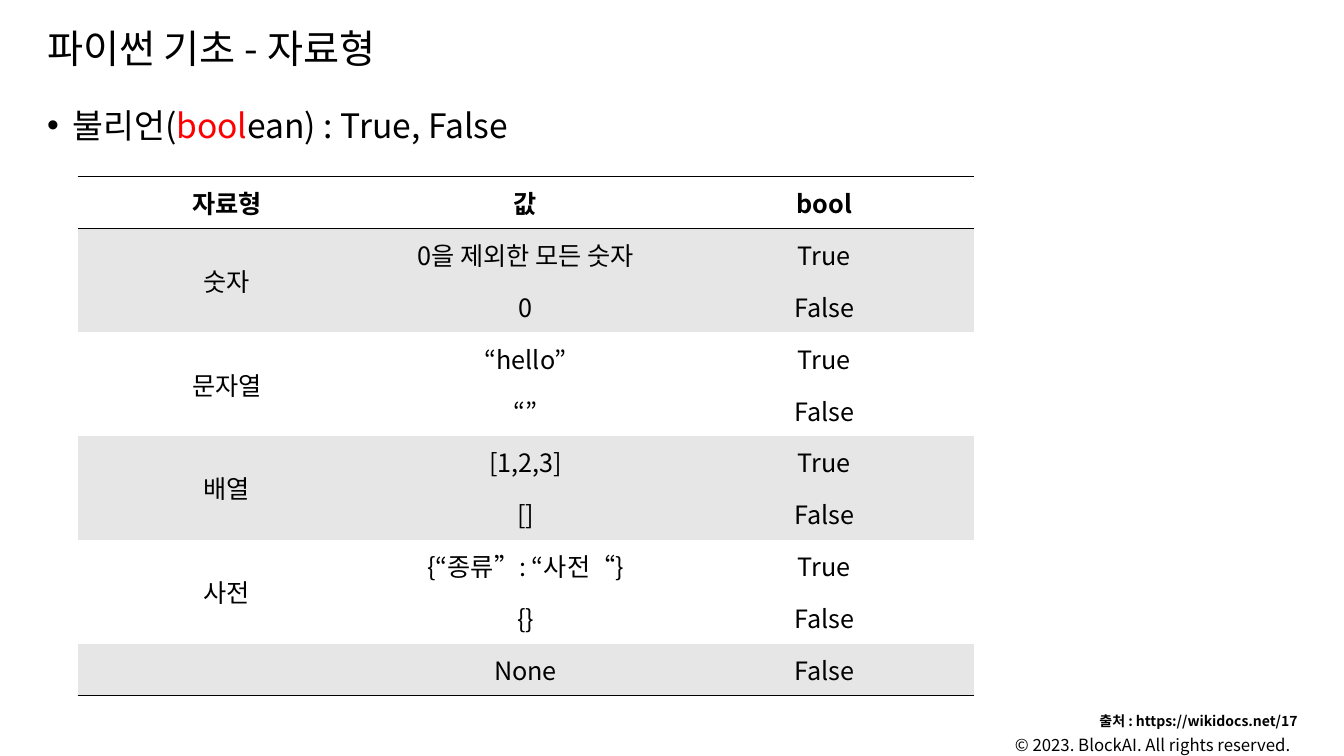
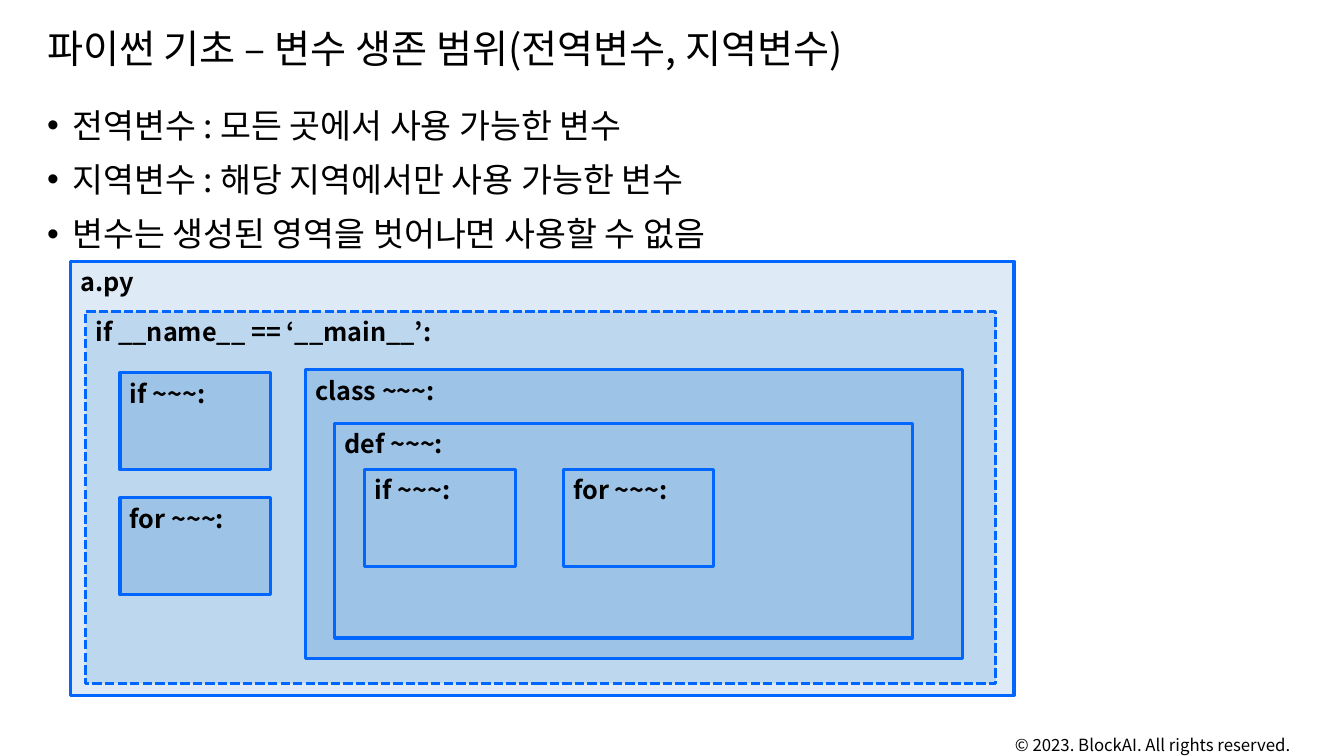
from dataclasses import dataclass
from typing import Any

import lxml.etree
import pptx
import pptx.dml.color
import pptx.enum.dml
import pptx.enum.shapes
import pptx.enum.text
import pptx.oxml.ns
import pptx.slide
import pptx.util

Pt = pptx.util.Pt
ALIGN = pptx.enum.text.PP_ALIGN
ANCHOR = pptx.enum.text.MSO_ANCHOR

FACE = "Noto Sans CJK KR"
BLACK, WHITE, RED, BLUE, GREY = "000000", "FFFFFF", "FF0000", "0066FF", "E7E6E6"
PALE, LIGHT, MID = "DEEBF7", "BDD7EE", "9DC3E6"
LEFT, WIDE = 26.64, 907.2
PLAIN_STYLE = "{2D5ABB26-0587-4C30-8999-92F81FD0307C}"


@dataclass(frozen=True)
class Run:
    text: str
    hue: str = BLACK


@dataclass(frozen=True)
class Box:
    left: float
    top: float
    width: float
    height: float


@dataclass(frozen=True)
class Scope:
    """A labelled block of code."""
    label: str
    box: Box
    fill: str = MID
    dashed: bool = False


@dataclass(frozen=True)
class Group:
    """A data type with its sample values and their truth."""
    name: str
    rows: tuple[tuple[str, str], ...]


TITLE = Box(LEFT, 15.12, WIDE, 42.48)
BODY = Box(LEFT, 71.28, WIDE, 453.6)
SOURCE = Box(LEFT, 505.44, WIDE, 19.44)
RIGHTS = Box(717.84, 524.16, 216, 15.12)
TABLE = Box(55.44, 126, 640, 370.8)

HEADS = ("자료형", "값", "bool")
GROUPS = (
    Group("숫자", (("0을 제외한 모든 숫자", "True"), ("0", "False"))),
    Group("문자열", (("“hello”", "True"), ("“”", "False"))),
    Group("배열", (("[1,2,3]", "True"), ("[]", "False"))),
    Group("사전", (("{“종류”: “사전“}", "True"), ("{}", "False"))),
    Group("", (("None", "False"),)),
)


def small(label: str, left: float, top: float) -> Scope:
    return Scope(label, Box(left, top, 107.28, 69.12))


SCOPES = (
    Scope("a.py", Box(50.4, 186.48, 673.92, 310.32), PALE),
    Scope("if __name__ == ‘__main__’:", Box(61.2, 222.48, 650.16, 265.68), LIGHT, True),
    small("if ~~~:", 85.68, 266.4),
    small("for ~~~:", 85.68, 355.68),
    Scope("class ~~~:", Box(218.16, 264.24, 469.44, 205.92)),
    Scope("def ~~~:", Box(239.04, 302.4, 412.56, 153.36)),
    small("if ~~~:", 260.64, 335.52),
    small("for ~~~:", 402.48, 335.52),
)


def shade(text: str) -> pptx.dml.color.RGBColor:
    return pptx.dml.color.RGBColor.from_string(text)


def put(item: Any, **vals: Any) -> None:
    """Set each named value on the item."""
    for name, val in vals.items():
        setattr(item, name, val)


def child(node: Any, tag: str, **attrs: str) -> Any:
    return lxml.etree.SubElement(node, pptx.oxml.ns.qn(tag), attrs)


def place(box: Box) -> tuple[int, ...]:
    return tuple(Pt(n) for n in (box.left, box.top, box.width, box.height))


def write(para: Any, runs: tuple[Run, ...], size: float, bold: bool = False) -> None:
    for part in runs:
        run = para.add_run()
        run.text = part.text
        put(run.font, size=Pt(size), bold=bold, name=FACE)
        run.font.color.rgb = shade(part.hue)
        child(run.font._element, "a:ea", typeface=FACE)


def add_text(slide: pptx.slide.Slide, box: Box, text: str, size: float,
             bold: bool = False, **form: Any) -> Any:
    frame = slide.shapes.add_textbox(*place(box)).text_frame
    put(frame, word_wrap=True, vertical_anchor=ANCHOR.MIDDLE)
    put(frame.paragraphs[0], **form)
    write(frame.paragraphs[0], (Run(text),), size, bold)
    return frame


def add_list(slide: pptx.slide.Slide, lines: tuple[tuple[Run, ...], ...]) -> None:
    frame = slide.shapes.add_textbox(*place(BODY)).text_frame
    frame.word_wrap = True
    for i, runs in enumerate(lines):
        para = frame.add_paragraph() if i else frame.paragraphs[0]
        if i:
            para.space_before = Pt(10)
        props = para._p.get_or_add_pPr()
        put_in = {"marL": Pt(18), "indent": -Pt(18)}
        for name, val in put_in.items():
            props.set(name, str(val))
        child(props, "a:buFont", typeface="Arial")
        child(props, "a:buChar", char="•")
        write(para, runs, 24)


def add_slide(deck: Any, title: str) -> pptx.slide.Slide:
    """Start a slide with the shared title and rights line."""
    slide = deck.slides.add_slide(deck.slide_layouts[6])
    put(slide.background.fill, **{})
    slide.background.fill.solid()
    slide.background.fill.fore_color.rgb = shade(WHITE)
    add_text(slide, RIGHTS, "© 2023. BlockAI. All rights reserved.", 12)
    add_text(slide, TITLE, title, 28, line_spacing=0.9)
    return slide


def rule(cell: Any, side: str) -> None:
    """Draw a black line on one side of a cell."""
    line = child(cell._tc.get_or_add_tcPr(), f"a:{side}", w=str(Pt(1)))
    child(child(line, "a:solidFill"), "a:srgbClr", val=BLACK)


def fill_cell(cell: Any, text: str, hue: str, sides: tuple[str, ...], bold: bool) -> None:
    for side in sides:
        rule(cell, side)
    if hue == WHITE:
        cell.fill.background()
    else:
        cell.fill.solid()
        cell.fill.fore_color.rgb = shade(hue)
    cell.vertical_anchor = ANCHOR.MIDDLE
    para = cell.text_frame.paragraphs[0]
    para.alignment = ALIGN.CENTER
    if text:
        write(para, (Run(text),), 18, bold)


def add_table(slide: pptx.slide.Slide) -> None:
    count = 1 + sum(len(group.rows) for group in GROUPS)
    table = slide.shapes.add_table(count, len(HEADS), *place(TABLE)).table
    put(table, first_row=False, horz_banding=False)
    table._tbl.tblPr.find(pptx.oxml.ns.qn("a:tableStyleId")).text = PLAIN_STYLE
    for col in table.columns:
        col.width = Pt(round(TABLE.width / len(HEADS), 2))
    for row in table.rows:
        row.height = Pt(TABLE.height / count)
    for c, head in enumerate(HEADS):
        fill_cell(table.cell(0, c), head, WHITE, ("lnT", "lnB"), True)
    top = 1
    for g, group in enumerate(GROUPS):
        hue = WHITE if g % 2 else GREY
        for r, vals in enumerate(group.rows, top):
            sides = ("lnB",) if r == count - 1 else ()
            name = group.name if r == top else ""
            for c, text in enumerate((name, *vals)):
                fill_cell(table.cell(r, c), text, hue, sides, False)
        last = top + len(group.rows) - 1
        if last > top:
            table.cell(top, 0).merge(table.cell(last, 0))
        top = last + 1


def add_scope(slide: pptx.slide.Slide, scope: Scope) -> None:
    kind = pptx.enum.shapes.MSO_SHAPE.RECTANGLE
    shape = slide.shapes.add_shape(kind, *place(scope.box))
    shape.shadow.inherit = False
    shape.fill.solid()
    shape.fill.fore_color.rgb = shade(scope.fill)
    shape.line.color.rgb = shade(BLUE)
    shape.line.width = Pt(2.25)
    if scope.dashed:
        shape.line.dash_style = pptx.enum.dml.MSO_LINE.SQUARE_DOT
    put(shape.text_frame, word_wrap=True, vertical_anchor=ANCHOR.TOP)
    para = shape.text_frame.paragraphs[0]
    para.alignment = ALIGN.LEFT
    write(para, (Run(scope.label),), 18, True)


def main() -> None:
    deck = pptx.Presentation()
    put(deck, slide_width=Pt(960), slide_height=Pt(540))

    types = add_slide(deck, "파이썬 기초 - 자료형")
    add_list(types, ((Run("불리언("), Run("bool", RED), Run("ean) : True, False")),))
    add_text(types, SOURCE, "출처 : https://wikidocs.net/17", 10, True,
             alignment=ALIGN.RIGHT)
    add_table(types)

    scopes = add_slide(deck, "파이썬 기초 – 변수 생존 범위(전역변수, 지역변수)")
    add_list(scopes, (
        (Run("전역변수 : 모든 곳에서 사용 가능한 변수"),),
        (Run("지역변수 : 해당 지역에서만 사용 가능한 변수"),),
        (Run("변수는 생성된 영역을 벗어나면 사용할 수 없음"),),
    ))
    for scope in SCOPES:
        add_scope(scopes, scope)
    deck.save("out.pptx")


if __name__ == "__main__":
    main()
